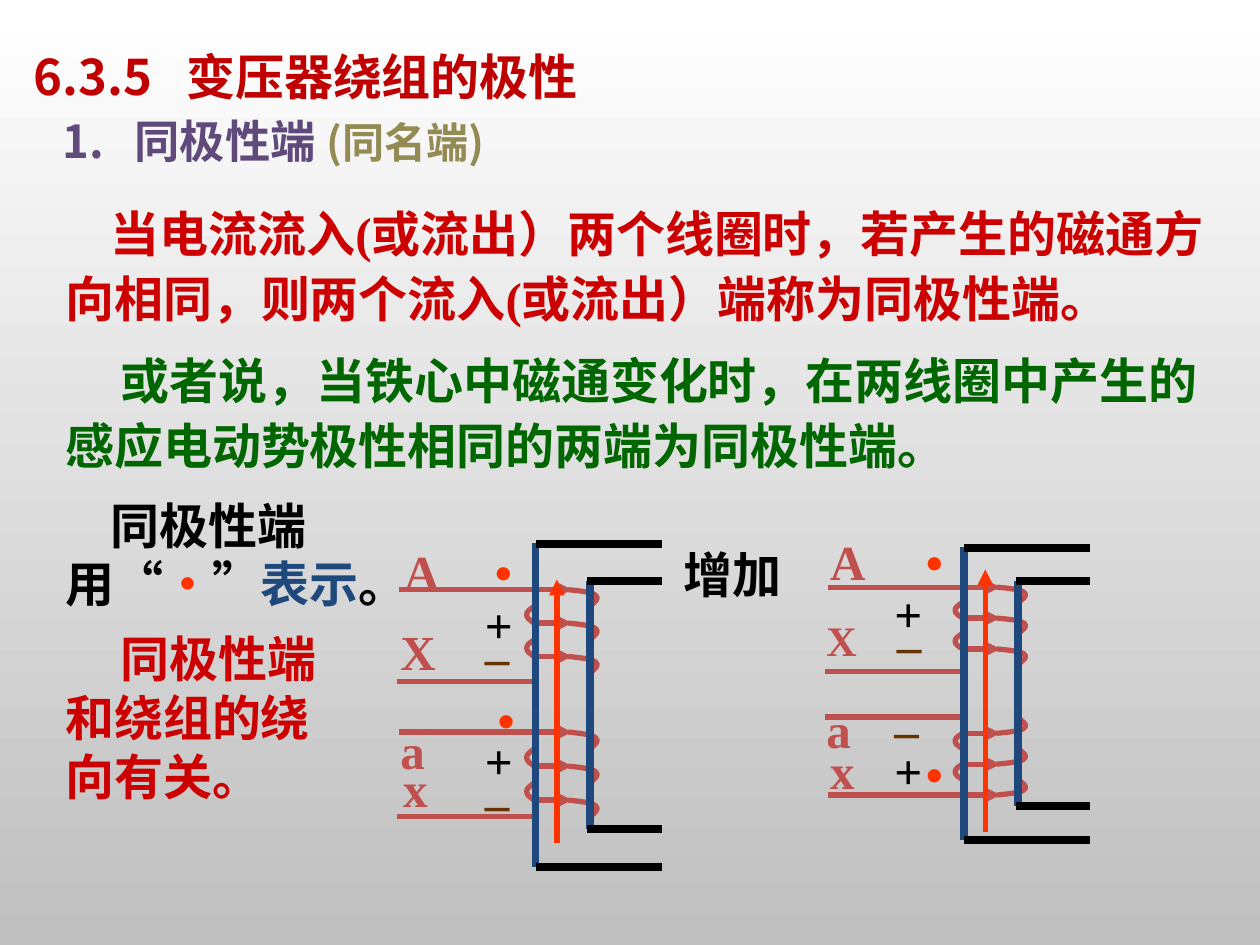
from lxml.etree import SubElement
from pptx import Presentation
from pptx.dml.color import RGBColor
from pptx.enum.shapes import MSO_CONNECTOR
from pptx.enum.text import MSO_ANCHOR, PP_ALIGN
from pptx.oxml.ns import qn
from pptx.util import Inches, Pt

COLORS = {
    "white": "FFFFFF", "gray": "BFBFBF", "black": "000000",
    "title": "C00000", "purple": "604A7B", "olive": "948A54",
    "red": "CC0000", "green": "006600", "navy": "1F497D",
    "coil": "C0504D", "dot": "FF3300", "brown": "663300",
}
SERIF, SANS = "Times New Roman", "Noto Sans CJK SC"
MARK_COLORS = {"•": "dot", "+": "black", "–": "brown"}

# Horizontal offset and share of half a pitch for each curve point
FRONT_BEND = [(0, 0), (0.1, 0.08), (0.2, 0.16), (0.22, 0.36),
              (0.25, 0.52), (0.21, 0.76), (0.17, 1)]
BACK_BEND = [(0, 0), (-0.03, 0.15), (-0.06, 0.3), (-0.06, 0.5),
             (-0.06, 0.7), (-0.03, 0.85), (0, 1)]


def rgb(name):
    return RGBColor.from_string(COLORS[name])


def add_text(slide, box, runs, size=28, font=SERIF, indent=0, spacing=None,
             tab=None, anchor=MSO_ANCHOR.TOP, align=None):
    """Place one paragraph; runs are (text, colour) or (text, colour, size)."""
    frame = slide.shapes.add_textbox(*map(Inches, box)).text_frame
    frame.word_wrap = True
    frame.vertical_anchor = anchor
    paragraph = frame.paragraphs[0]
    properties = paragraph._p.get_or_add_pPr()
    if indent:
        properties.set("indent", str(Inches(indent)))
    if tab:
        stops = SubElement(properties, qn("a:tabLst"))
        SubElement(stops, qn("a:tab"), pos=str(Inches(tab)), algn="l")
    paragraph.alignment = align
    paragraph.line_spacing = spacing
    paragraph.font.name = font
    paragraph.font.size = Pt(size)
    paragraph.font.bold = True
    if len(runs) == 1:
        paragraph.font.color.rgb = rgb(runs[0][1])
    for text, color, *own_size in runs:
        run = paragraph.add_run()
        run.text = text
        if len(runs) > 1:
            run.font.color.rgb = rgb(color)
        if own_size:
            run.font.size = Pt(own_size[0])


def add_line(slide, x1, y1, x2, y2, color, width, arrow=False):
    line = slide.shapes.add_connector(
        MSO_CONNECTOR.STRAIGHT, *map(Inches, (x1, y1, x2, y2)))
    line.line.color.rgb = rgb(color)
    line.line.width = Pt(width)
    if arrow:
        SubElement(line.line._ln, qn("a:tailEnd"), type="triangle")
    SubElement(line._element.spPr, qn("a:effectLst"))


def add_bend(slide, x, y, height, bend):
    """Draw two joined Bezier curves through the points of a bend."""
    points = [(Inches(x + dx), Inches(y + share * height)) for dx, share in bend]
    builder = slide.shapes.build_freeform(*points[0])
    builder.add_line_segments(points[1:], close=False)
    curve = builder.convert_to_shape()
    curve.shadow.inherit = False
    curve.fill.background()
    curve.line.color.rgb = rgb("coil")
    curve.line.width = Pt(3)
    outline = curve._element.find(".//" + qn("a:path"))
    segments = outline.findall(qn("a:lnTo"))
    for start in range(0, len(segments), 3):
        cubic = SubElement(outline, qn("a:cubicBezTo"))
        for segment in segments[start:start + 3]:
            cubic.append(segment[0])
            outline.remove(segment)


def add_winding(slide, x, lead_in, lead_out, pitch):
    """Wind three turns on the limb at x; a negative pitch winds upwards."""
    for turn in range(3):
        y = lead_in + turn * pitch
        start = x + 0.02 if turn else x - 1.08
        add_line(slide, start, y, x + 0.29, y, "coil", 3, arrow=True)
        add_bend(slide, x + 0.26, y, pitch / 2, FRONT_BEND)
        if turn:
            add_bend(slide, x - 0.01, y - pitch / 2, pitch / 2, BACK_BEND)
    add_line(slide, x, lead_out, x - 1.1, lead_out, "coil", 3)


def add_core(slide, x, y, height, yoke):
    add_line(slide, x, y, x, y + height, "navy", 4.5)
    add_line(slide, x + 0.43, y + yoke, x + 0.43, y + height - yoke, "navy", 4.5)
    for left, edge in [(0, 0.01), (0.41, yoke), (0.41, height - yoke), (0, height)]:
        add_line(slide, x + left, y + edge, x + 1, y + edge, "black", 4.5)


def add_transformer(slide, x, y, height, yoke, windings, flux, marks):
    """Draw core, windings, flux arrow and marks from the top of the left limb."""
    for lead_in, lead_out, pitch in windings:
        add_winding(slide, x, y + lead_in, y + lead_out, pitch)
    add_core(slide, x, y, height, yoke)
    add_line(slide, x + 0.17, y + flux[0], x + 0.17, y + flux[1], "dot", 3, arrow=True)
    for mark, dx, dy, *size in marks:
        add_text(slide, (x + dx, y + dy, 0.58, 0.57),
                 [(mark, MARK_COLORS.get(mark, "coil"))], *size)


def add_headings(slide):
    add_text(slide, (0.17, 0.22, 7.58, 0.83), [("6.3.5\t变压器绕组的极性", "title")],
             font=SANS, spacing=0.9, tab=1.21, anchor=MSO_ANCHOR.MIDDLE,
             align=PP_ALIGN.JUSTIFY)
    add_text(slide, (0.4, 0.93, 4.84, 0.45),
             [("1.\t同极性端 ", "purple", 25.9), ("(同名端)", "olive", 24.1)],
             font=SANS, spacing=0.8, tab=0.57, anchor=MSO_ANCHOR.MIDDLE)


def add_explanations(slide, left):
    add_text(slide, (left, 1.52, 9.42, 1.12),
             [("当电流流入(或流出）两个线圈时，若产生的磁通方向相同，"
               "则两个流入(或流出）端称为同极性端。", "red")],
             indent=0.36, spacing=1.1)
    add_text(slide, (left, 2.69, 9.42, 1.13),
             [("或者说，当铁心中磁通变化时，在两线圈中产生的"
               "感应电动势极性相同的两端为同极性端。", "green")],
             indent=0.44, spacing=1.1)
    add_text(slide, (left, 3.88, 3.33, 1.03),
             [("同极性端用“", "black"), ("•", "dot"), ("”", "black"),
              ("表示", "navy"), ("。", "black")], indent=0.36)
    add_text(slide, (left, 4.94, 2.33, 1.5),
             [("同极性端和绕组的绕向有关。", "red")], indent=0.44)


def main():
    deck = Presentation()
    deck.slide_width, deck.slide_height = Inches(10), Inches(7.5)
    slide = deck.slides.add_slide(deck.slide_layouts[6])
    backdrop = slide.background.fill
    backdrop.gradient()
    backdrop.gradient_angle = 270
    for stop, color, position in zip(backdrop.gradient_stops, ("white", "gray"), (0, 1)):
        stop.color.rgb = rgb(color)
        stop.position = position

    add_headings(slide)
    add_explanations(slide, 0.42)
    add_transformer(
        slide, 4.25, 4.31, height=2.57, yoke=0.3,
        windings=[(0.37, 1.1, 0.265), (1.5, 2.17, 0.27)], flux=(2.38, 0.29),
        marks=[("A", -1.14, -0.06), ("X", -1.17, 0.57),
               ("a", -1.17, 1.36), ("x", -1.15, 1.66),
               ("•", -0.42, -0.06), ("+", -0.5, 0.36), ("–", -0.5, 0.61),
               ("•", -0.4, 1.11), ("+", -0.5, 1.44), ("–", -0.5, 1.77)])
    add_text(slide, (5.33, 4.27, 1.08, 0.57), [("增加", "black")])
    add_transformer(
        slide, 7.65, 4.34, height=2.33, yoke=0.27,
        windings=[(0.32, 0.99, 0.245), (1.97, 1.35, -0.245)], flux=(2.26, 0.18),
        marks=[("A", -1.16, -0.17), ("X", -1.19, 0.49, 24),
               ("a", -1.19, 1.16), ("x", -1.16, 1.49),
               ("•", -0.4, -0.17), ("+", -0.65, 0.24), ("–", -0.63, 0.49),
               ("•", -0.4, 1.51), ("+", -0.65, 1.49), ("–", -0.65, 1.16)])
    deck.save("out.pptx")


if __name__ == "__main__":
    main()
